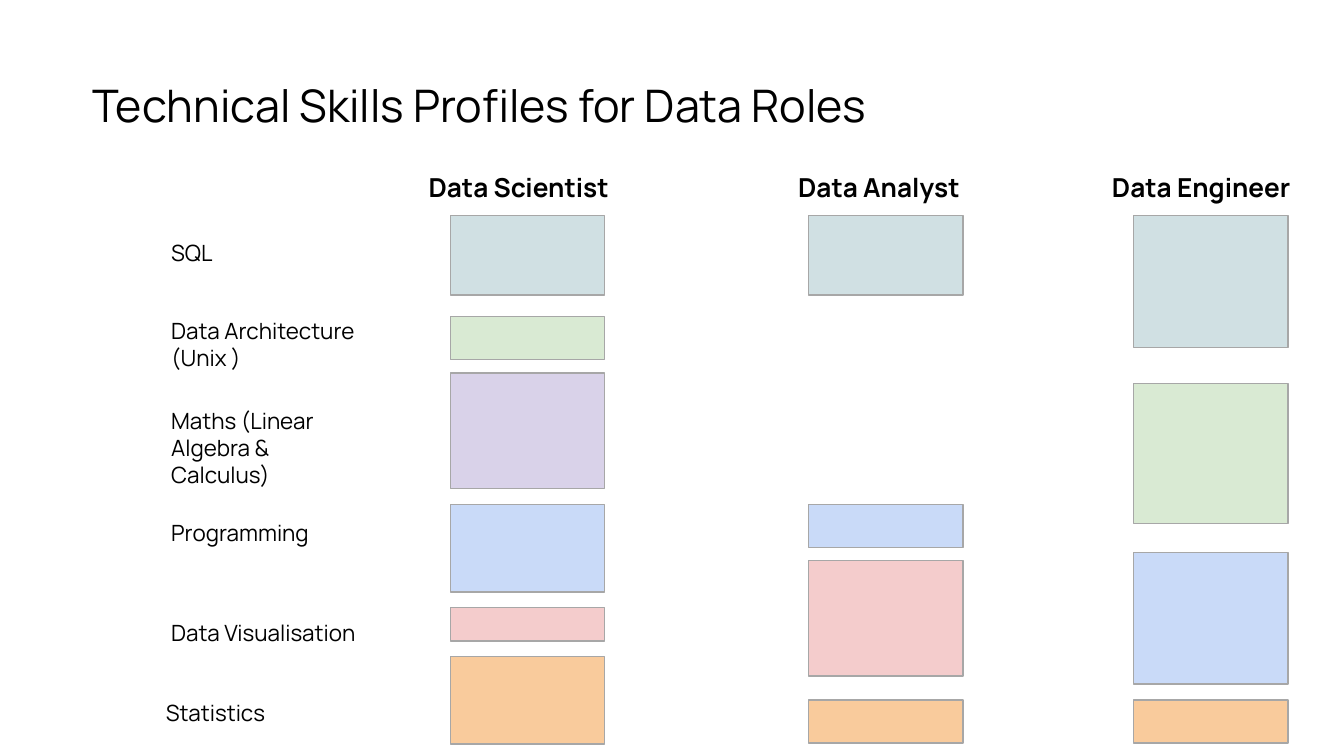
from dataclasses import dataclass

from pptx import Presentation
from pptx.dml.color import RGBColor
from pptx.enum.shapes import MSO_SHAPE
from pptx.enum.text import MSO_ANCHOR, MSO_AUTO_SIZE, PP_ALIGN
from pptx.util import Emu, Pt

PX = 4572  # 200 px to the inch
RECTANGLE = MSO_SHAPE.RECTANGLE
BOTTOM, TOP = MSO_ANCHOR.BOTTOM, MSO_ANCHOR.TOP
LEFT = PP_ALIGN.LEFT
NO_AUTOFIT = MSO_AUTO_SIZE.NONE


@dataclass(frozen=True)
class Theme:
    font: str = "Manrope"
    ink: str = "000000"
    outline: str = "A7A7A7"
    sql: str = "D0E0E3"
    architecture: str = "D9EAD3"
    maths: str = "D9D2E9"
    programming: str = "C9DAF8"
    visualisation: str = "F4CCCC"
    statistics: str = "F9CB9C"
    title_size: int = 24
    role_size: int = 14
    skill_size: int = 12


THEME = Theme()
BLOCK_WIDTH = 230


def px(*lengths):
    return [Emu(length * PX) for length in lengths]


def write(box, text, size, bold=False, anchor=TOP):
    frame = box.text_frame
    frame.text = text
    frame.word_wrap = True
    frame.auto_size = NO_AUTOFIT
    frame.vertical_anchor = anchor
    (frame.margin_left, frame.margin_top,
     frame.margin_right, frame.margin_bottom) = px(20, 20, 20, 20)
    for paragraph in frame.paragraphs:
        paragraph.alignment = LEFT
        paragraph.font.name = THEME.font
        paragraph.font.size = Pt(size)
        paragraph.font.bold = bold
        paragraph.font.color.rgb = RGBColor.from_string(THEME.ink)


deck = Presentation()
deck.slide_width, deck.slide_height = px(2000, 1125)
slide = deck.slides.add_slide(deck.slide_layouts[5])

title = slide.shapes.title
title.left, title.top, title.width, title.height = px(118, 86, 1574, 130)
write(title, "Technical Skills Profiles for Data Roles", THEME.title_size, anchor=BOTTOM)

# Skill label: text, left, top, width, height
skills = [
    ("SQL", 235, 336, 284, 80),
    ("Data Architecture\n(Unix )", 235, 452, 446, 122),
    ("Maths (Linear Algebra & Calculus)", 235, 586, 284, 162),
    ("Programming", 235, 753, 284, 80),
    ("Data Visualisation", 235, 902, 494, 80),
    ("Statistics", 227, 1021, 198, 80),
]
for skill, *place in skills:
    write(slide.shapes.add_textbox(*px(*place)), skill, THEME.skill_size)

# Role: name, heading left and width, block left, blocks as (colour, top, height)
roles = [
    ("Data Scientist", 618, 356, 670, [
        (THEME.sql, 321, 118),
        (THEME.architecture, 471, 64),
        (THEME.maths, 555, 172),
        (THEME.programming, 751, 130),
        (THEME.visualisation, 904, 50),
        (THEME.statistics, 977, 130),
    ]),
    ("Data Analyst", 1168, 324, 1203, [
        (THEME.sql, 321, 118),
        (THEME.programming, 751, 64),
        (THEME.visualisation, 834, 172),
        (THEME.statistics, 1042, 64),
    ]),
    ("Data Engineer", 1635, 356, 1687, [
        (THEME.sql, 321, 196),
        (THEME.architecture, 571, 208),
        (THEME.programming, 822, 196),
        (THEME.statistics, 1042, 64),
    ]),
]
for role, heading_left, heading_width, block_left, blocks in roles:
    heading = slide.shapes.add_textbox(*px(heading_left, 235, heading_width, 88))
    write(heading, role, THEME.role_size, bold=True)
    for colour, top, height in blocks:
        block = slide.shapes.add_shape(RECTANGLE, *px(block_left, top, BLOCK_WIDTH, height))
        block.shadow.inherit = False
        block.fill.solid()
        block.fill.fore_color.rgb = RGBColor.from_string(colour)
        block.line.color.rgb = RGBColor.from_string(THEME.outline)
        block.line.width = Pt(0.75)

deck.save("out.pptx")
